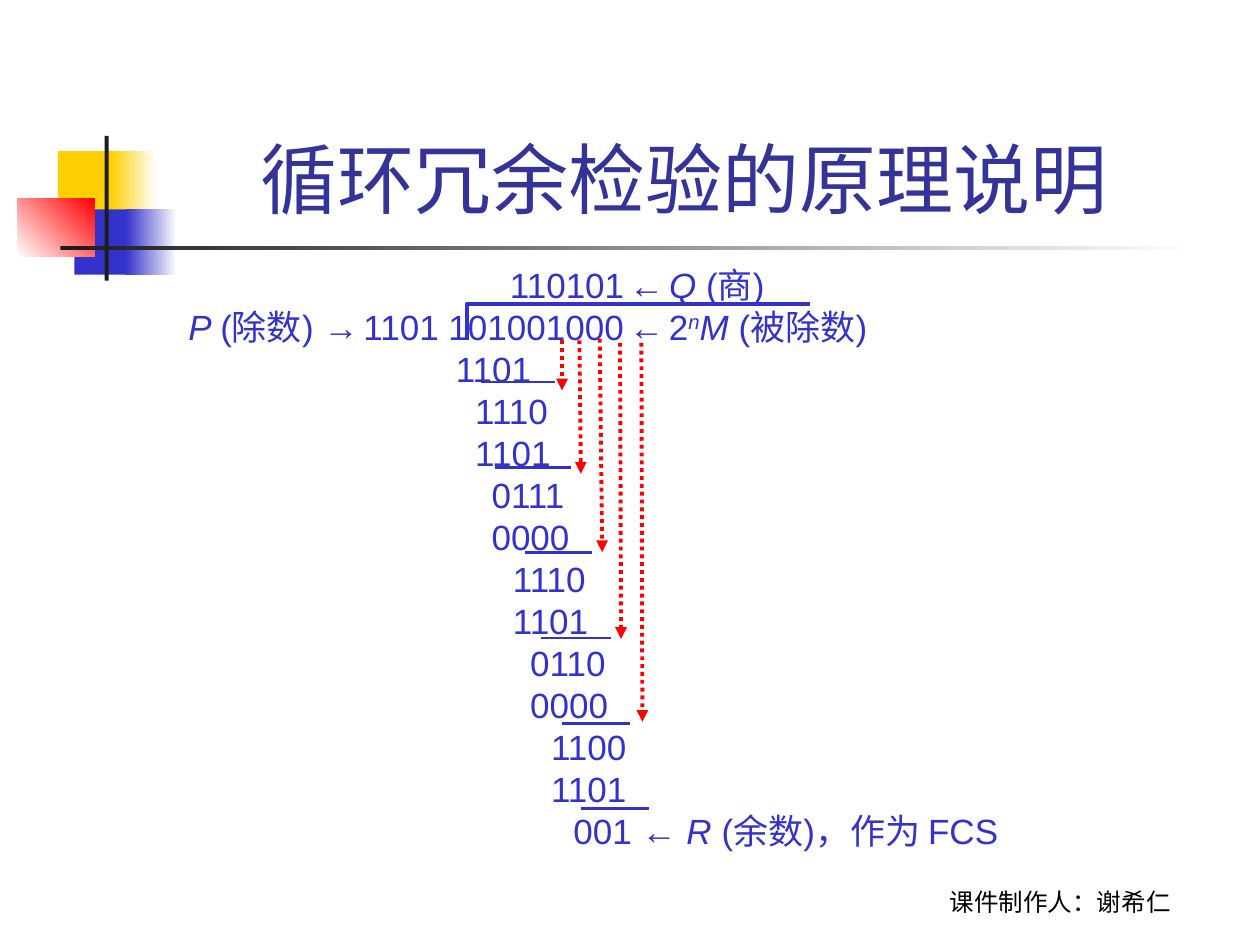
"""Slide showing the long division behind a cyclic redundancy check."""
from pptx import Presentation
from pptx.dml.color import RGBColor
from pptx.enum.dml import MSO_LINE
from pptx.enum.shapes import MSO_CONNECTOR as CONN, MSO_SHAPE as SHAPE
from pptx.enum.text import MSO_ANCHOR as ANCHOR, MSO_AUTO_SIZE as AUTO, PP_ALIGN as ALIGN
from pptx.oxml.ns import qn
from pptx.util import Cm, Pt
from lxml.etree import SubElement

BLUE = RGBColor(0x33, 0x33, 0xCC)
NAVY = RGBColor(0x33, 0x33, 0x99)
RED = RGBColor(0xFF, 0x00, 0x00)
YELLOW = RGBColor(0xFF, 0xCF, 0x01)
DARK = RGBColor(0x1C, 0x1C, 0x1C)
BLACK = RGBColor(0x00, 0x00, 0x00)
WHITE = RGBColor(0xFF, 0xFF, 0xFF)

TITLE = "循环冗余检验的原理说明"
CREDIT = "课件制作人：谢希仁"
GAP = (" ", "small")
DIVISION = [
    (10.28, [("110101", ""), GAP, ("←", ""), GAP, ("Q ", "italic"), ("(商)", "")]),
    (3.8, [("P ", "italic"), ("(除数) ", ""), ("→", "bold"), GAP, ("1101 101001000", ""),
           GAP, ("←", ""), GAP, ("2", ""), ("n", "italic super"), ("M ", "italic"),
           ("(被除数)", "")]),
    (9.19, [("1101", "")]),
    (9.58, [("1110", "")]),
    (9.58, [("1101", "")]),
    (9.91, [("0111", "")]),
    (9.91, [("0000", "")]),
    (10.34, [("1110", "")]),
    (10.34, [("1101", "")]),
    (10.69, [("0110", "")]),
    (10.69, [("0000", "")]),
    (11.11, [("1100", "")]),
    (11.11, [("1101", "")]),
    (11.56, [("001 ← ", ""), ("R", "italic"), (" (余数)，作为 FCS", "")]),
]
BOX_LEFT, BOX_TOP = 2.82, 5.18
DECOR = [
    (1.17, 3.05, 1.22, 1.32, [YELLOW]),
    (2.24, 3.05, 0.91, 1.32, [YELLOW, WHITE, 0]),
    (1.5, 4.22, 1.17, 1.32, [BLUE]),
    (2.54, 4.22, 1.02, 1.32, [BLUE, WHITE, 0]),
    (0.36, 4.01, 1.55, 1.17, [WHITE, RED, 45]),
    (2.11, 2.74, 0.08, 2.92, [DARK]),
    (1.22, 4.95, 22.86, 0.09, [DARK, WHITE, 0]),
]
BRACKET = [(9.42, 6.86), (9.42, 6.12), (16.33, 6.12)]
ARROWS = [
    (11.33, 6.86, 11.33, 7.87),
    (11.68, 6.86, 11.71, 9.55),
    (12.09, 6.83, 12.14, 11.13),
    (12.5, 6.91, 12.52, 12.88),
    (12.93, 6.91, 12.95, 14.55),
]
RULES = [(9.7, 11.18), (9.98, 11.51), (10.59, 11.94), (10.9, 12.32), (11.33, 12.7), (11.71, 13.08)]
RULE_TOP, RULE_STEP = 7.7, 1.72


def add_decor(s, x, y, w, h, paint):
    sp = s.shapes.add_shape(SHAPE.RECTANGLE, Cm(x), Cm(y), Cm(w), Cm(h))
    sp.shadow.inherit = False
    sp.line.fill.background()
    if len(paint) == 1:
        sp.fill.solid()
        sp.fill.fore_color.rgb = paint[0]
    else:
        sp.fill.gradient()
        sp.fill.gradient_angle = paint[2]
        for stop, color in zip(sp.fill.gradient_stops, paint):
            stop.color.rgb = color


def add_line(s, x1, y1, x2, y2, color, width, arrow=False):
    c = s.shapes.add_connector(CONN.STRAIGHT, Cm(x1), Cm(y1), Cm(x2), Cm(y2))
    c.line.color.rgb = color
    c.line.width = Pt(width)
    sp_pr = c._element.spPr
    if arrow:
        c.line.dash_style = MSO_LINE.ROUND_DOT
        SubElement(sp_pr.find(qn("a:ln")), qn("a:tailEnd"), type="triangle")
    SubElement(sp_pr, qn("a:effectLst"))


def style_font(font, name, size, color):
    font.name = name
    font.size = Pt(size)
    font.color.rgb = color


def fill_line(sp, text, name, size, color):
    tf = sp.text_frame
    tf.text = text
    tf.word_wrap = True
    tf.auto_size = AUTO.NONE
    tf.vertical_anchor = ANCHOR.BOTTOM
    p = tf.paragraphs[0]
    p.alignment = ALIGN.CENTER
    style_font(p.runs[0].font, name, size, color)


def add_division(s):
    sp = s.shapes.add_textbox(Cm(BOX_LEFT), Cm(BOX_TOP), Cm(22.5), Cm(12.12))
    tf = sp.text_frame
    tf.word_wrap = True
    tf.margin_left = 0
    for i, (x, parts) in enumerate(DIVISION):
        p = tf.add_paragraph() if i else tf.paragraphs[0]
        p.line_spacing = Pt(24)
        p._p.get_or_add_pPr().set("marL", str(Cm(x - BOX_LEFT)))
        for text, style in parts:
            r = p.add_run()
            r.text = text
            style_font(r.font, "Arial", 10 if "small" in style else 20, BLUE)
            r.font.bold = "bold" in style
            r.font.italic = "italic" in style
            if "super" in style:
                r.font._element.set("baseline", "30000")


def add_bracket(s):
    points = [(Cm(x), Cm(y)) for x, y in BRACKET]
    builder = s.shapes.build_freeform(*points[0])
    builder.add_line_segments(points[1:], close=False)
    sp = builder.convert_to_shape()
    sp.shadow.inherit = False
    sp.fill.background()
    sp.line.color.rgb = BLUE
    sp.line.width = Pt(2.25)


def main():
    prs = Presentation()
    prs.slide_width, prs.slide_height = Cm(25.4), Cm(19.05)
    s = prs.slides.add_slide(prs.slide_layouts[5])
    for item in DECOR:
        add_decor(s, *item)

    title = s.shapes.title
    title.left, title.top, title.width, title.height = Cm(2.98), Cm(0.58), Cm(21.64), Cm(4.06)
    fill_line(title, TITLE, "Arial", 44, NAVY)
    credit = s.shapes.add_textbox(Cm(17.35), Cm(17.32), Cm(8.05), Cm(1.27))
    fill_line(credit, CREDIT, "Cabin", 14, BLACK)

    add_division(s)
    add_bracket(s)
    for arrow in ARROWS:
        add_line(s, *arrow, RED, 2.25, arrow=True)
    for i, (x1, x2) in enumerate(RULES):
        y = RULE_TOP + i * RULE_STEP
        add_line(s, x1, y, x2, y, BLUE, 1.5)
    prs.save("out.pptx")


if __name__ == "__main__":
    main()
